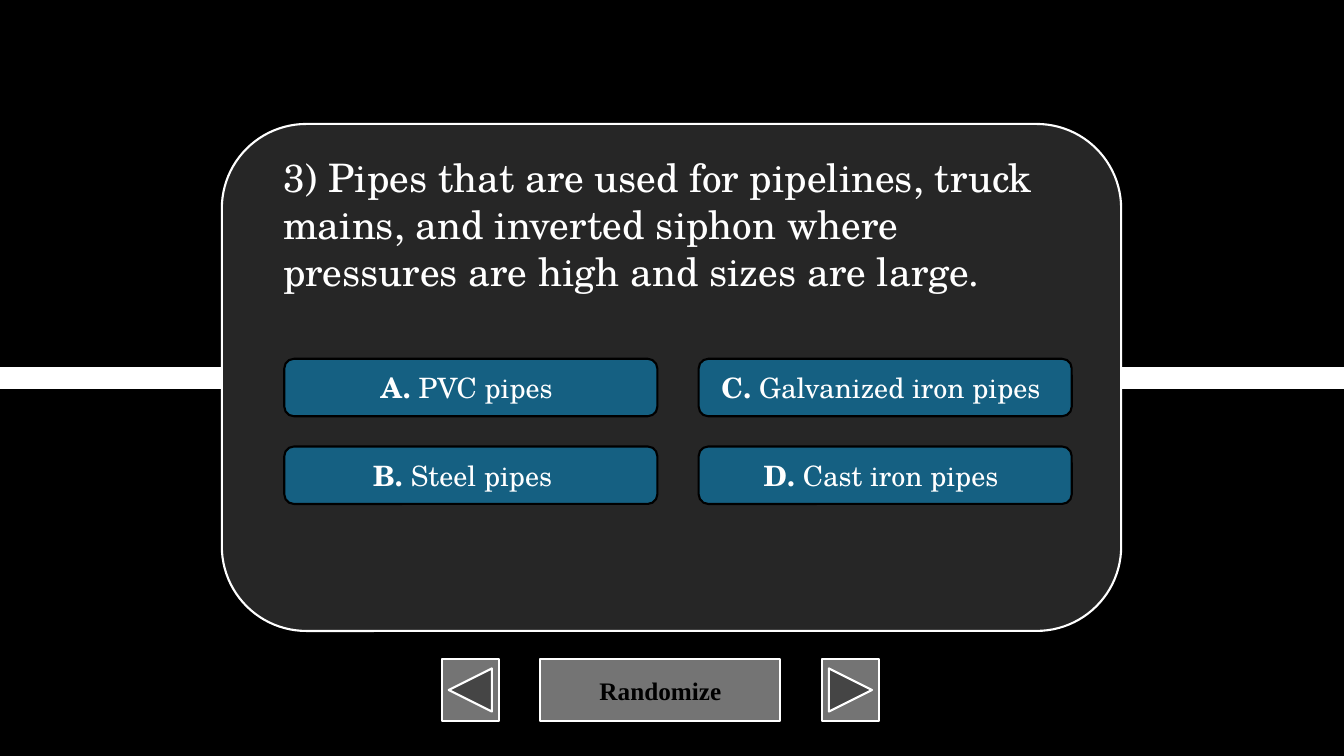
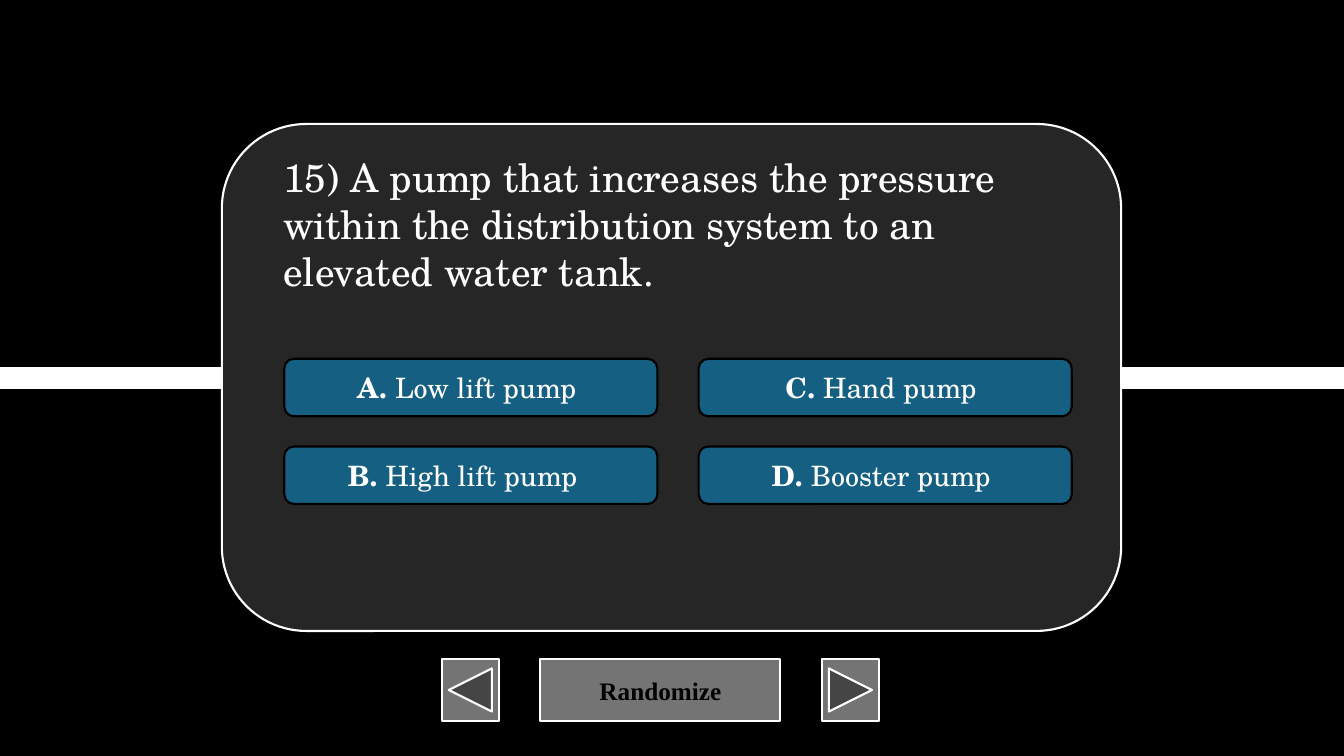
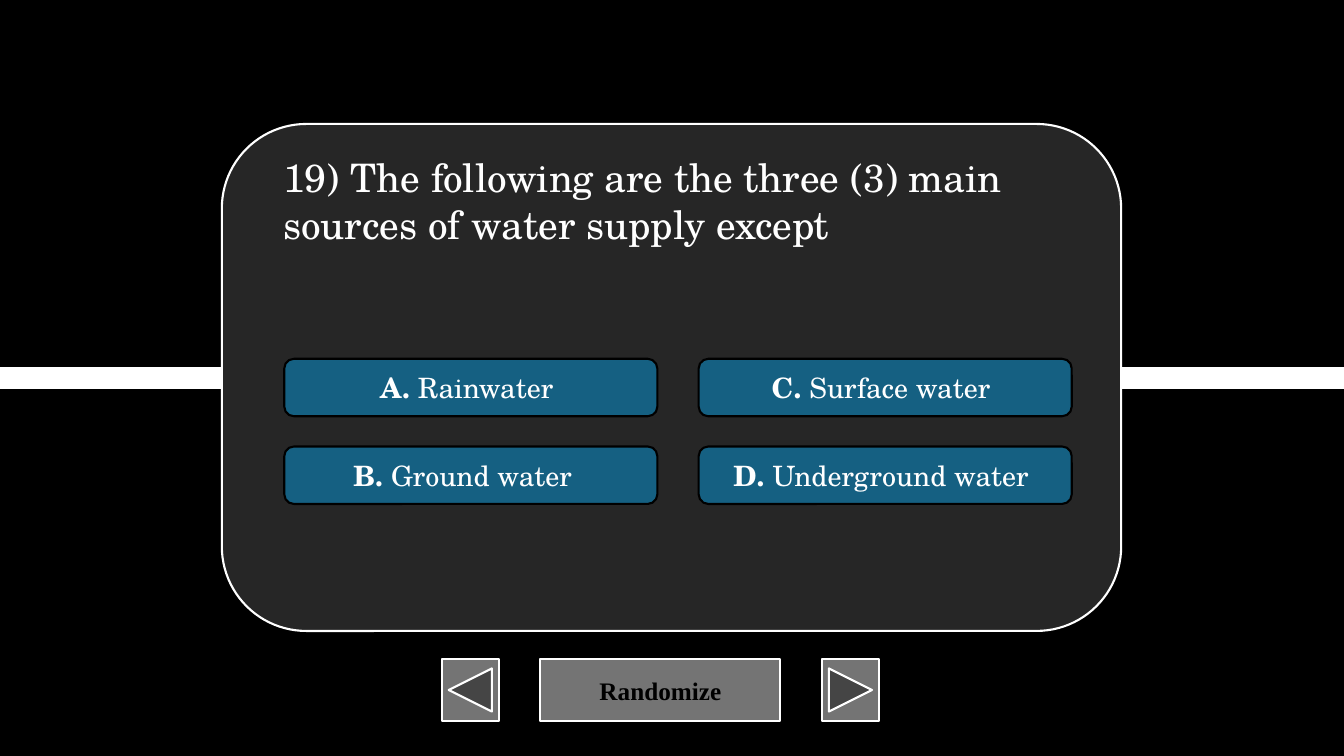
from lxml import etree
from pptx import Presentation
from pptx.dml.color import RGBColor
from pptx.enum.shapes import MSO_CONNECTOR, MSO_SHAPE as SHAPE
from pptx.enum.text import MSO_ANCHOR as ANCHOR, MSO_AUTO_SIZE, PP_ALIGN as ALIGN
from pptx.oxml.ns import qn
from pptx.util import Inches, Pt

WIDTH, HEIGHT = 13.33, 7.5
COLORS = {
    "background": "000000",
    "white": "FFFFFF",
    "black": "000000",
    "card": "262626",
    "answer": "156082",
    "button": "747474",
}
SERIF, BUTTON_FONT = "TeX Gyre Schola", "Times New Roman"
CARD = (2.2, 1.23, 8.92, 5.03)
NAVIGATION = (4.38, 6.54, 4.34, 0.61)

# Question, its number of lines, and the answers A to D
QUIZ = [
    ("3) Pipes that are used for pipelines, truck mains, and inverted siphon "
     "where pressures are high and sizes are large.", 3,
     ["PVC pipes", "Steel pipes", "Galvanized iron pipes", "Cast iron pipes"]),
    ("15) A pump that increases the pressure within the distribution system "
     "to an elevated water tank.", 3,
     ["Low lift pump", "High lift pump", "Hand pump", "Booster pump"]),
    ("19) The following are the three (3) main sources of water supply except", 2,
     ["Rainwater", "Ground water", "Surface water", "Underground water"]),
]


def color(name):
    return RGBColor.from_string(COLORS[name])


def write(box, runs, font=SERIF, size=20, ink="white", align=ALIGN.LEFT, anchor=ANCHOR.TOP):
    """Fill a box with one paragraph of (text, bold) runs."""
    frame = box.text_frame
    frame.word_wrap = True
    frame.vertical_anchor = anchor
    para = frame.paragraphs[0]
    para.alignment = align
    for text, bold in runs:
        span = para.add_run()
        span.text = text
        span.font.name, span.font.size, span.font.bold = font, Pt(size), bold
        span.font.color.rgb = color(ink)


def add_panel(page, kind, place, fill, outline="white"):
    panel = page.shapes.add_shape(kind, *map(Inches, place))
    panel.shadow.inherit = False
    panel.fill.solid()
    panel.fill.fore_color.rgb = color(fill)
    panel.line.color.rgb = color(outline)
    panel.line.width = Pt(1.5)
    return panel


def add_band(page):
    """Thick line across the middle of the slide."""
    middle = Inches(HEIGHT / 2)
    band = page.shapes.add_connector(MSO_CONNECTOR.STRAIGHT, 0, middle, Inches(WIDTH), middle)
    band.line.color.rgb = color("white")
    band.line.width = Pt(16)
    etree.SubElement(band._element.spPr, qn("a:effectLst"))


def add_navigation(page, area):
    """Back and forward buttons at the ends, the wide button between them."""
    left, top, width, height = area
    arrow, gap = 0.57, 0.41
    middle = (left + arrow + gap, top, width - 2 * (arrow + gap), height)
    randomize = add_panel(page, SHAPE.ACTION_BUTTON_CUSTOM, middle, "button")
    write(randomize, [("Randomize", True)], font=BUTTON_FONT, size=18, ink="black",
          align=ALIGN.CENTER, anchor=ANCHOR.MIDDLE)
    for kind, start in ((SHAPE.ACTION_BUTTON_BACK_OR_PREVIOUS, left),
                        (SHAPE.ACTION_BUTTON_FORWARD_OR_NEXT, left + width - arrow)):
        add_panel(page, kind, (start, top, arrow, height), "button")


def add_answers(page, area, answers):
    """Two columns of two answers, filled column by column."""
    left, top, width, height = area
    box_width, box_height = 3.7, 0.57
    for index, (letter, answer) in enumerate(zip("ABCD", answers)):
        column, row = divmod(index, 2)
        place = (left + column * (width - box_width), top + row * (height - box_height),
                 box_width, box_height)
        box = add_panel(page, SHAPE.ROUNDED_RECTANGLE, place, "answer", outline="black")
        write(box, [(f"{letter}. ", True), (answer, False)],
              align=ALIGN.CENTER, anchor=ANCHOR.MIDDLE)
        box.text_frame.margin_right = Inches(0.26 if letter == "B" else 0.18)


def add_card(page, area, question, lines, answers):
    """Rounded card with the question above its answers."""
    left, top, width, height = area
    add_panel(page, SHAPE.ROUNDED_RECTANGLE, area, "card")
    add_answers(page, (left + 0.62, top + 2.33, width - 1.11, 1.44), answers)
    place = (left + 0.51, top + 0.24, width - 1, 0.1 + 0.47 * lines)
    box = page.shapes.add_textbox(*map(Inches, place))
    write(box, [(question, False)], size=28)
    box.text_frame.auto_size = MSO_AUTO_SIZE.SHAPE_TO_FIT_TEXT


def main():
    deck = Presentation()
    deck.slide_width, deck.slide_height = Inches(WIDTH), Inches(HEIGHT)
    backdrop = deck.slide_master.background.fill
    backdrop.solid()
    backdrop.fore_color.rgb = color("background")
    for question, lines, answers in QUIZ:
        page = deck.slides.add_slide(deck.slide_layouts[6])
        add_band(page)
        add_navigation(page, NAVIGATION)
        add_card(page, CARD, question, lines, answers)
    deck.save("out.pptx")


if __name__ == "__main__":
    main()
